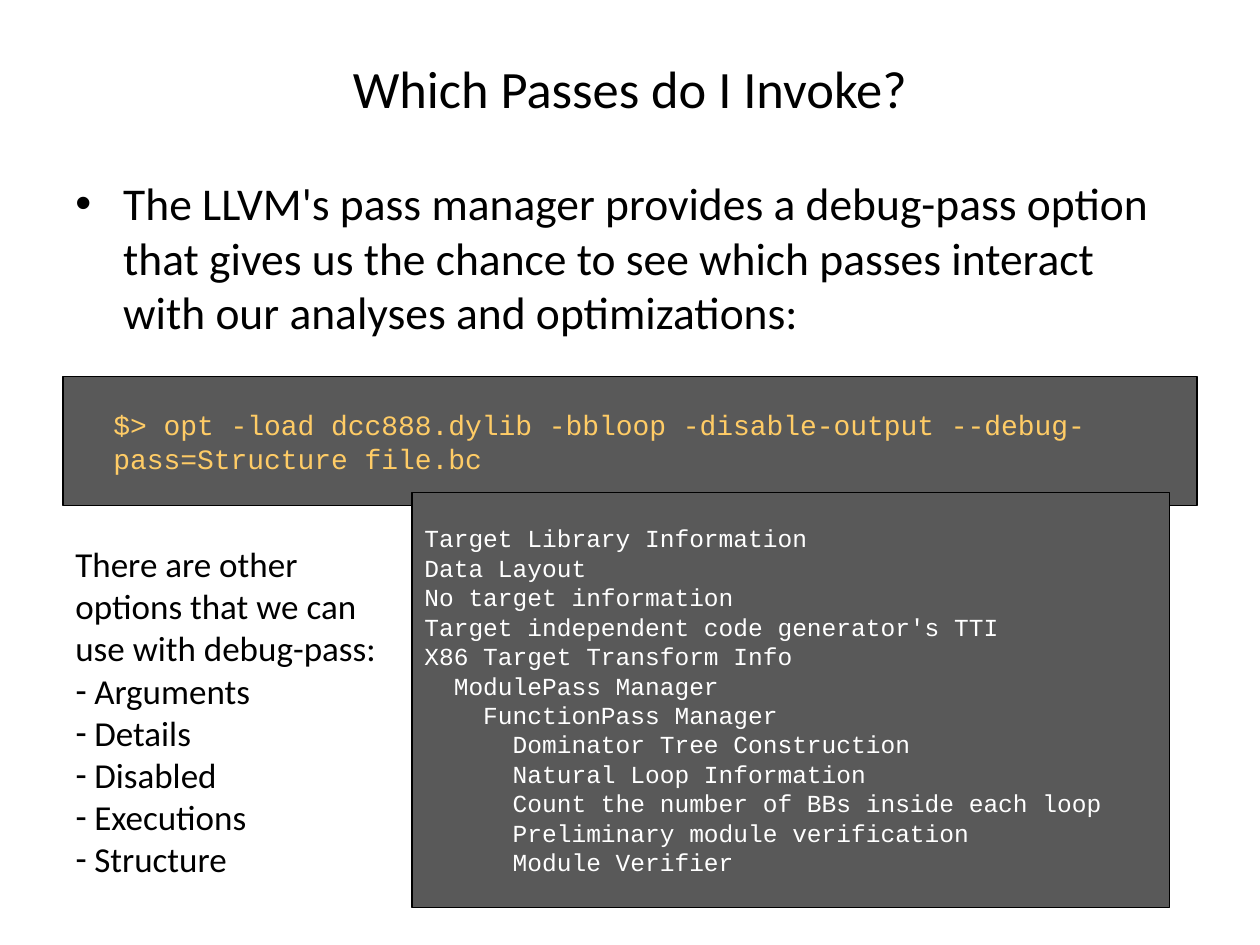
from lxml.etree import SubElement
from pptx import Presentation
from pptx.dml.color import RGBColor
from pptx.enum.shapes import MSO_SHAPE
from pptx.enum.text import MSO_ANCHOR, PP_ALIGN
from pptx.oxml.ns import qn
from pptx.util import Inches, Pt

BLACK = RGBColor(0, 0, 0)
WHITE = RGBColor(255, 255, 255)
GRAY = RGBColor(0x59, 0x59, 0x59)
AMBER = RGBColor(0xFF, 0xCC, 0x66)


def style(para, font, size, color, align=PP_ALIGN.LEFT):
    para.alignment = align
    for run in para.runs:
        run.font.name = font
        run.font.size = Pt(size)
        run.font.color.rgb = color


def bullet(para, char, indent):
    props = para._p.get_or_add_pPr()
    props.set("marL", str(Inches(indent)))
    props.set("indent", str(-Inches(indent)))
    SubElement(props, qn("a:buFont"), typeface="Arial")
    SubElement(props, qn("a:buChar"), char=char)


deck = Presentation()
deck.slide_width = Inches(10)
deck.slide_height = Inches(7.5)
slide = deck.slides.add_slide(deck.slide_layouts[5])

title = slide.shapes.title
title.left, title.top = Inches(0.5), Inches(0.3)
title.width, title.height = Inches(9), Inches(0.79)
title.text_frame.text = "Which Passes do I Invoke?"
title.text_frame.vertical_anchor = MSO_ANCHOR.MIDDLE
style(title.text_frame.paragraphs[0], "Calibri", 30, BLACK, PP_ALIGN.CENTER)

intro = slide.shapes.add_textbox(Inches(0.5), Inches(1.34), Inches(9), Inches(1.55))
frame = intro.text_frame
frame.word_wrap = True
frame.text = (
    "The LLVM's pass manager provides a debug-pass option that gives us "
    "the chance to see which passes interact with our analyses and optimizations:"
)
bullet(frame.paragraphs[0], "•", 0.38)
style(frame.paragraphs[0], "Calibri", 26, BLACK)

command = "$> opt -load dcc888.dylib -bbloop -disable-output --debug-pass=Structure file.bc"
output = """Target Library Information
Data Layout
No target information
Target independent code generator's TTI
X86 Target Transform Info
  ModulePass Manager
    FunctionPass Manager
      Dominator Tree Construction
      Natural Loop Information
      Count the number of BBs inside each loop
      Preliminary module verification
      Module Verifier"""
panels = [
    (0.5, 2.99, 9, 1.02, command, 16, AMBER, 0.4),
    (3.27, 3.91, 6.01, 3.29, output, 14, WHITE, 0.1),
]
for left, top, width, height, code, size, color, inset in panels:
    panel = slide.shapes.add_shape(
        MSO_SHAPE.RECTANGLE, Inches(left), Inches(top), Inches(width), Inches(height)
    )
    panel.shadow.inherit = False
    panel.fill.solid()
    panel.fill.fore_color.rgb = GRAY
    panel.line.color.rgb = BLACK
    panel.line.width = Pt(0.75)
    frame = panel.text_frame
    frame.word_wrap = True
    frame.margin_left = Inches(inset)
    frame.vertical_anchor = MSO_ANCHOR.MIDDLE
    frame.text = code
    for para in frame.paragraphs:
        style(para, "Courier New", size, color)

notes = slide.shapes.add_textbox(Inches(0.5), Inches(4.26), Inches(2.77), Inches(2.79))
frame = notes.text_frame
frame.word_wrap = True
frame.text = "There are other options that we can use with debug-pass:"
for option in ("Arguments", "Details", "Disabled", "Executions", "Structure"):
    para = frame.add_paragraph()
    para.text = option
    bullet(para, "-", 0.15)
for para in frame.paragraphs:
    style(para, "Calibri", 20, BLACK)

deck.save("out.pptx")
